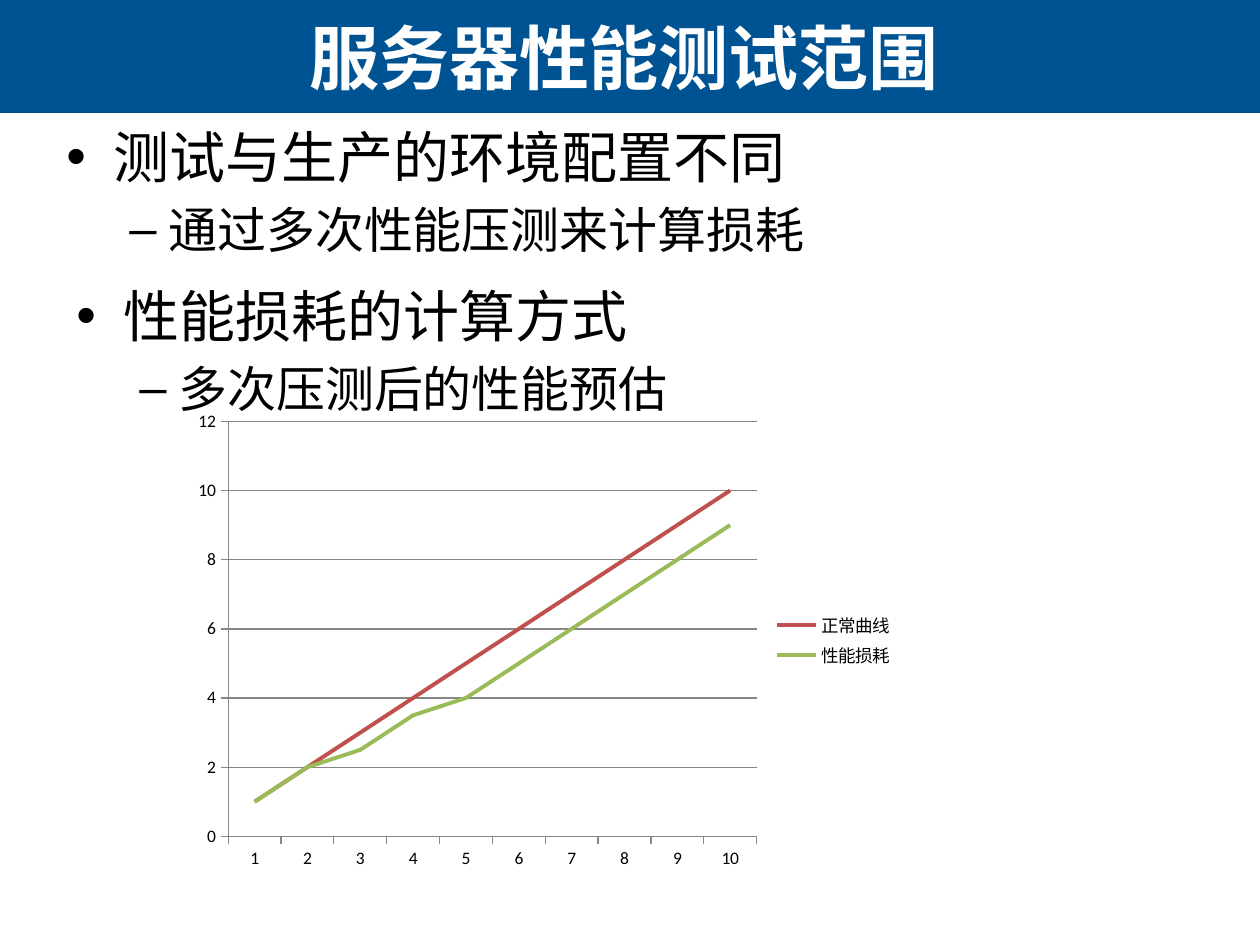
"""Build a slide on server performance test scope with bullets and a line chart."""
from dataclasses import dataclass

from lxml.etree import SubElement
from pptx import Presentation
from pptx.chart.data import CategoryChartData
from pptx.dml.color import RGBColor
from pptx.enum.chart import XL_CHART_TYPE, XL_LEGEND_POSITION, XL_MARKER_STYLE, XL_TICK_MARK
from pptx.enum.shapes import MSO_SHAPE
from pptx.enum.text import MSO_ANCHOR, PP_ALIGN
from pptx.oxml.ns import qn
from pptx.util import Emu, Pt

PX = 914400 / 126


@dataclass(frozen=True)
class Theme:
    """Colours, fonts and type sizes of the slide."""
    band: str = "005392"
    paper: str = "FFFFFF"
    ink: str = "000000"
    grid: str = "868686"
    series: tuple = ("C0504D", "9BBB59")
    title_font: str = "Arial"
    body_font: str = "Calibri"
    title_size: int = 40
    level_sizes: tuple = (32, 28)
    chart_size: int = 10


def px(length):
    return Emu(round(length * PX))


def rgb(value):
    return RGBColor.from_string(value)


def write(para, text, *, size, font, color, bold=False, align=PP_ALIGN.LEFT):
    para.alignment = align
    span = para.add_run()
    span.text = text
    span.font.size = Pt(size)
    span.font.name = font
    span.font.bold = bold
    span.font.color.rgb = rgb(color)


def add_bullet(para, mark, margin, hang):
    properties = para._p.get_or_add_pPr()
    properties.set("marL", str(px(margin)))
    properties.set("indent", str(-px(hang)))
    spacing = SubElement(properties, qn("a:spcBef"))
    SubElement(spacing, qn("a:spcPct")).set("val", "20000")
    SubElement(properties, qn("a:buFont")).set("typeface", "Arial")
    SubElement(properties, qn("a:buChar")).set("char", mark)


class SlideBuilder:
    """Places styled elements on the current slide."""

    bullets = (("•", 47, 47), ("–", 102, 39))

    def __init__(self, slide, theme):
        self.slide = slide
        self.theme = theme
        slide.background.fill.solid()
        slide.background.fill.fore_color.rgb = rgb(theme.paper)

    def band(self, left, top, width, height):
        shape = self.slide.shapes.add_shape(
            MSO_SHAPE.RECTANGLE, px(left), px(top), px(width), px(height))
        shape.shadow.inherit = False
        shape.fill.solid()
        shape.fill.fore_color.rgb = rgb(self.theme.band)
        shape.line.fill.background()

    def text_frame(self, left, top, width, height):
        box = self.slide.shapes.add_textbox(px(left), px(top), px(width), px(height))
        box.text_frame.word_wrap = True
        return box.text_frame

    def title(self, text, left, top, width, height):
        frame = self.text_frame(left, top, width, height)
        frame.vertical_anchor = MSO_ANCHOR.MIDDLE
        write(frame.paragraphs[0], text, size=self.theme.title_size,
              font=self.theme.title_font, color=self.theme.paper,
              bold=True, align=PP_ALIGN.CENTER)

    def outline(self, lines, left, top, width, height):
        frame = self.text_frame(left, top, width, height)
        for level, text in enumerate(lines):
            para = frame.add_paragraph() if level else frame.paragraphs[0]
            para.level = level
            add_bullet(para, *self.bullets[level])
            write(para, text, size=self.theme.level_sizes[level],
                  font=self.theme.body_font, color=self.theme.ink)

    def line_chart(self, categories, series, left, top, width, height):
        data = CategoryChartData()
        data.categories = categories
        for name, values in series.items():
            data.add_series(name, values)
        chart = self.slide.shapes.add_chart(
            XL_CHART_TYPE.LINE, px(left), px(top), px(width), px(height), data).chart
        chart.has_title = False
        chart.font.size = Pt(self.theme.chart_size)
        chart.font.name = self.theme.body_font
        chart.font.color.rgb = rgb(self.theme.ink)
        chart.has_legend = True
        chart.legend.position = XL_LEGEND_POSITION.RIGHT
        chart.legend.include_in_layout = False
        chart.plots[0].vary_by_categories = False
        for line, color in zip(chart.plots[0].series, self.theme.series):
            line.smooth = False
            line.marker.style = XL_MARKER_STYLE.NONE
            line.format.line.width = Pt(2.25)
            line.format.line.color.rgb = rgb(color)
        value_axis = chart.value_axis
        value_axis.minimum_scale, value_axis.maximum_scale = 0, 12
        value_axis.major_unit = 2
        value_axis.has_major_gridlines = True
        chart.category_axis.has_major_gridlines = False
        for axis in (value_axis, chart.category_axis):
            axis.major_tick_mark = XL_TICK_MARK.OUTSIDE
            axis.minor_tick_mark = XL_TICK_MARK.NONE
        for part in (value_axis, chart.category_axis, value_axis.major_gridlines):
            part.format.line.width = Pt(0.75)
            part.format.line.color.rgb = rgb(self.theme.grid)


def main():
    deck = Presentation()
    deck.slide_width, deck.slide_height = px(1260), px(945)
    page = SlideBuilder(deck.slides.add_slide(deck.slide_layouts[6]), Theme())
    page.band(0, 0, 1260, 113)
    page.outline(("测试与生产的环境配置不同", "通过多次性能压测来计算损耗"), 54, 116, 1134, 624)
    page.title("服务器性能测试范围", 2, 0, 1244, 113)
    page.outline(("性能损耗的计算方式", "多次压测后的性能预估"), 64, 275, 1134, 624)
    page.line_chart(
        [str(number) for number in range(1, 11)],
        {"正常曲线": range(1, 11), "性能损耗": (1, 2, 2.5, 3.5, 4, 5, 6, 7, 8, 9)},
        184, 402, 722, 476)
    deck.save("out.pptx")


if __name__ == "__main__":
    main()
